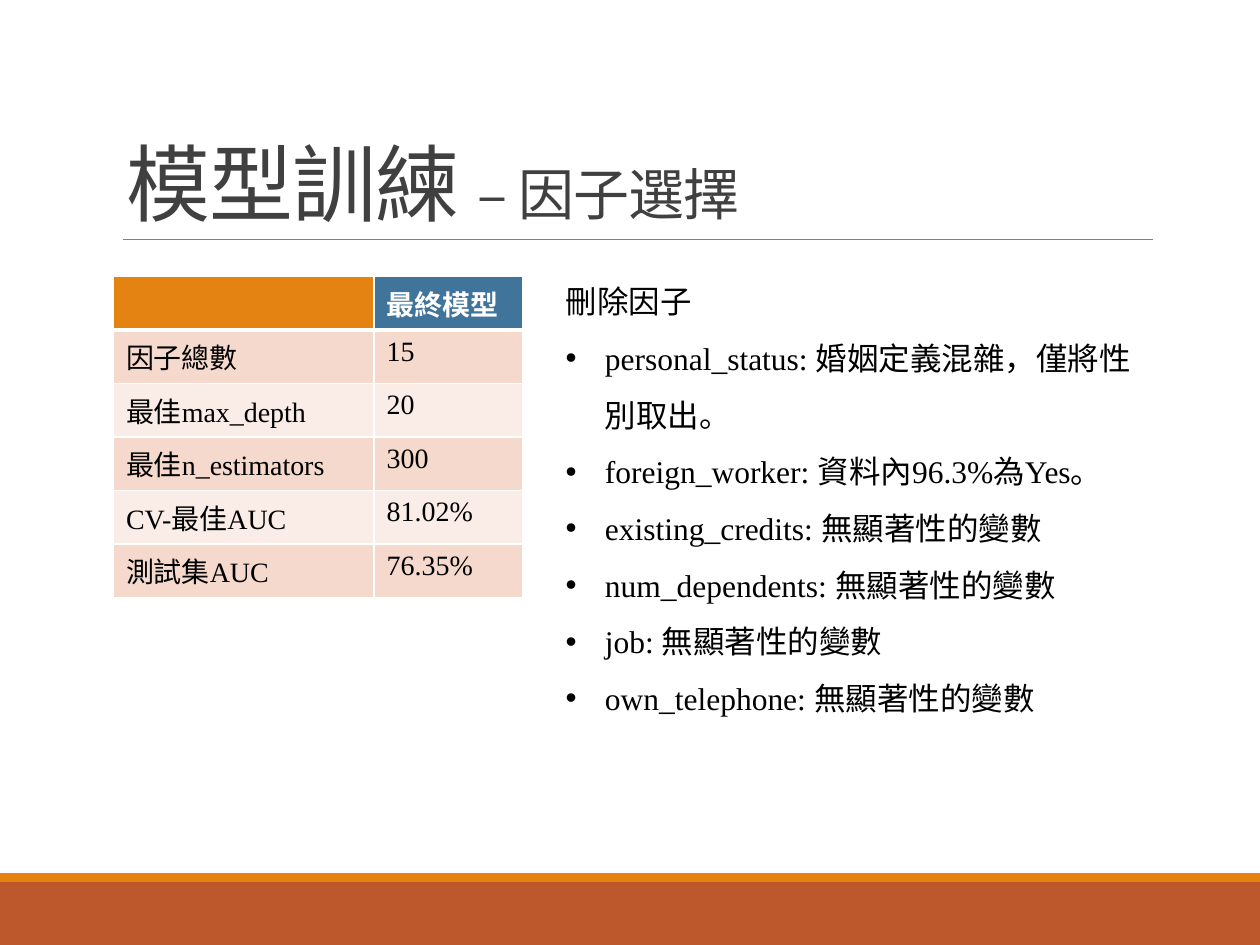
from lxml.etree import SubElement
from pptx import Presentation
from pptx.dml.color import RGBColor
from pptx.enum.shapes import MSO_CONNECTOR, MSO_SHAPE
from pptx.enum.text import MSO_ANCHOR, MSO_AUTO_SIZE, PP_ALIGN
from pptx.oxml.ns import qn
from pptx.util import Pt

FONT = "Times New Roman"
WHITE = RGBColor(0xFF, 0xFF, 0xFF)
BLACK = RGBColor(0, 0, 0)
DARK = RGBColor(0x40, 0x40, 0x40)
GRAY = RGBColor(0x80, 0x80, 0x80)
RUST = RGBColor(0xBD, 0x58, 0x2C)
ORANGE = RGBColor(0xE4, 0x83, 0x12)
BLUE = RGBColor(0x40, 0x74, 0x9B)
BANDS = [RGBColor(0xFA, 0xED, 0xE7), RGBColor(0xF5, 0xD9, 0xCC)]


def add_run(p, text, size, color, bold=False):
    r = p.add_run()
    r.text = text
    r.font.name = FONT
    r.font.size = Pt(size)
    r.font.bold = bold
    r.font.color.rgb = color
    return r


def set_border(tcPr, side, width):
    """Give one side of a table cell a white line; call before the fill is set."""
    ln = SubElement(tcPr, qn(f"a:ln{side}"), w=str(Pt(width)))
    fill = SubElement(ln, qn("a:solidFill"))
    SubElement(fill, qn("a:srgbClr"), val=str(WHITE))


prs = Presentation()
prs.slide_width, prs.slide_height = Pt(720), Pt(540)
s = prs.slides.add_slide(prs.slide_layouts[1])

# Footer bars and title rule
for top, height, color in [(504, 36, RUST), (499, 5, ORANGE)]:
    bar = s.shapes.add_shape(MSO_SHAPE.RECTANGLE, 0, Pt(top), Pt(720), Pt(height))
    bar.shadow.inherit = False
    bar.fill.solid()
    bar.fill.fore_color.rgb = color
    bar.line.fill.background()

rule = s.shapes.add_connector(MSO_CONNECTOR.STRAIGHT, Pt(70.5), Pt(136.8), Pt(659), Pt(136.8))
rule.line.color.rgb = GRAY
rule.line.width = Pt(0.5)
SubElement(rule._element.spPr, qn("a:effectLst"))

# Title
title = s.shapes.title
title.left, title.top, title.width, title.height = Pt(64.8), Pt(22.5), Pt(594), Pt(114.3)
tf = title.text_frame
tf.auto_size = MSO_AUTO_SIZE.NONE
tf.vertical_anchor = MSO_ANCHOR.BOTTOM
p = tf.paragraphs[0]
p.alignment = PP_ALIGN.LEFT
p.line_spacing = 0.85
for text, size in [("模型訓練 ", 48), ("– 因子選擇", 32), (" ", 48)]:
    r = add_run(p, text, size, DARK)
    r.font._element.set("spc", "-50")

# Results table
rows = [
    ("", "最終模型"),
    ("因子總數", "15"),
    ("最佳max_depth", "20"),
    ("最佳n_estimators", "300"),
    ("CV-最佳AUC", "81.02%"),
    ("測試集AUC", "76.35%"),
]
table = s.shapes.add_table(len(rows), 2, Pt(64.8), Pt(158), Pt(234), Pt(183.6)).table
table.columns[0].width, table.columns[1].width = Pt(149), Pt(85)
for i, row in enumerate(rows):
    table.rows[i].height = Pt(30.6)
    for j, text in enumerate(row):
        header = i == 0
        cell = table.cell(i, j)
        tcPr = cell._tc.get_or_add_tcPr()
        for side in "LRTB":
            thick = (header and side == "B") or (i == 1 and side == "T")
            set_border(tcPr, side, 3 if thick else 1)
        cell.fill.solid()
        cell.fill.fore_color.rgb = (ORANGE, BLUE)[j] if header else BANDS[i % 2]
        if text:
            add_run(cell.text_frame.paragraphs[0], text, 16, WHITE if header else BLACK, header)

# Removed factors
body = s.placeholders[1]
body.left, body.top, body.width, body.height = Pt(316), Pt(157.7), Pt(343), Pt(254)
tf = body.text_frame
tf.auto_size = MSO_AUTO_SIZE.NONE
factors = [
    "刪除因子",
    "personal_status: 婚姻定義混雜，僅將性別取出。",
    "foreign_worker: 資料內96.3%為Yes。",
    "existing_credits: 無顯著性的變數",
    "num_dependents: 無顯著性的變數",
    "job: 無顯著性的變數",
    "own_telephone: 無顯著性的變數",
]
for i, text in enumerate(factors):
    p = tf.add_paragraph() if i else tf.paragraphs[0]
    p.space_before = Pt(0)
    p.line_spacing = 1.5 if i else 1.0
    indent = Pt(22.5) if i else 0
    pPr = p._p.get_or_add_pPr()
    pPr.set("marL", str(indent))
    pPr.set("indent", str(-indent))
    if i:
        SubElement(pPr, qn("a:buFont"), typeface="Arial")
        SubElement(pPr, qn("a:buChar"), char="•")
    else:
        SubElement(pPr, qn("a:buNone"))
    add_run(p, text, 18, BLACK)

prs.save("out.pptx")
